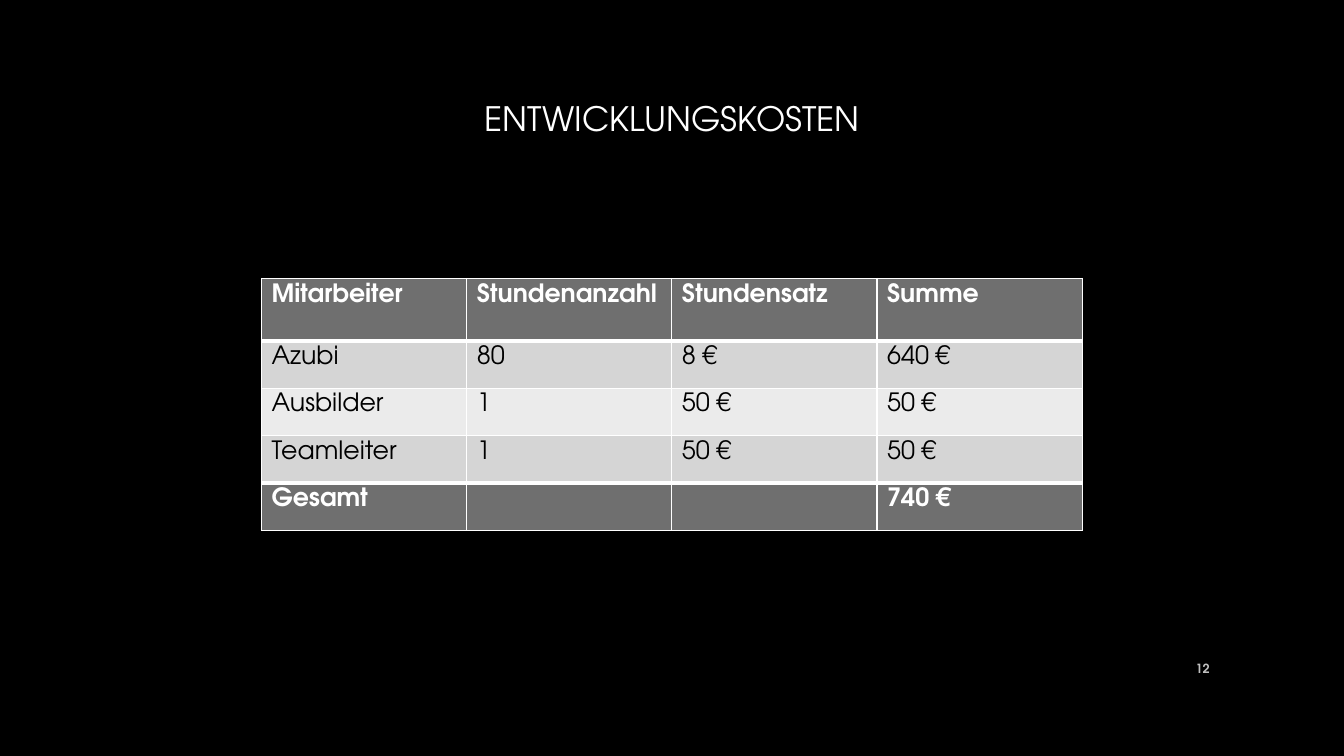
"""Build the development cost slide with its table of hours and rates."""
from lxml import etree
from pptx import Presentation
from pptx.dml.color import RGBColor
from pptx.enum.text import MSO_ANCHOR, PP_ALIGN
from pptx.oxml.ns import qn
from pptx.util import Pt

MIDDLE = MSO_ANCHOR.MIDDLE
CENTER, RIGHT = PP_ALIGN.CENTER, PP_ALIGN.RIGHT
FONT = "TeX Gyre Adventor"
COLORS = {
    "background": "000000",
    "light": "FFFFFF",
    "dark": "000000",
    "number": "BFBFBF",
    "accent": "6F6F6F",
    "band_odd": "D5D5D5",
    "band_even": "EBEBEB",
}
TEXTS = [
    ("ENTWICKLUNGSKOSTEN", (90, 48.24, 779.76, 72.72), 24, "light", False, CENTER),
    ("12", (828, 462.96, 43.2, 28.8), 9, "number", True, RIGHT),
]
ROWS = [
    ("Mitarbeiter", "Stundenanzahl", "Stundensatz", "Summe"),
    ("Azubi", "80", "8 €", "640 €"),
    ("Ausbilder", "1", "50 €", "50 €"),
    ("Teamleiter", "1", "50 €", "50 €"),
    ("Gesamt", "", "", "740 €"),
]
TABLE_LEFT, TABLE_TOP = 186.9, 198.9
COL_WIDTH, HEADER_HEIGHT, ROW_HEIGHT = 146.55, 44.64, 33.84
THIN, THICK = 1, 3


def rgb(name):
    return RGBColor.from_string(COLORS[name])


def format_runs(p, size, color, bold):
    for r in p.runs:
        r.font.name = FONT
        r.font.size = Pt(size)
        r.font.bold = bold
        r.font.color.rgb = rgb(color)


def add_text(slide, text, box, size, color, bold, align):
    tf = slide.shapes.add_textbox(*map(Pt, box)).text_frame
    tf.word_wrap = True
    tf.vertical_anchor = MIDDLE
    p = tf.paragraphs[0]
    p.text = text
    p.alignment = align
    format_runs(p, size, color, bold)


def add_borders(cell, top, bottom):
    tc_pr = cell._tc.get_or_add_tcPr()
    widths = {"lnL": THIN, "lnR": THIN, "lnT": top, "lnB": bottom}
    for tag, width in widths.items():
        ln = etree.SubElement(tc_pr, qn(f"a:{tag}"), w=str(Pt(width)))
        fill = etree.SubElement(ln, qn("a:solidFill"))
        etree.SubElement(fill, qn("a:srgbClr"), val=COLORS["light"])


def add_cost_table(slide):
    last = len(ROWS) - 1
    cols = len(ROWS[0])
    height = HEADER_HEIGHT + last * ROW_HEIGHT
    table = slide.shapes.add_table(
        len(ROWS), cols, Pt(TABLE_LEFT), Pt(TABLE_TOP),
        Pt(cols * COL_WIDTH), Pt(height)).table
    for col in table.columns:
        col.width = Pt(COL_WIDTH)
    for i, values in enumerate(ROWS):
        table.rows[i].height = Pt(ROW_HEIGHT if i else HEADER_HEIGHT)
        strong = i in (0, last)
        band = "accent" if strong else "band_odd" if i % 2 else "band_even"
        top = THICK if i in (1, last) else THIN
        bottom = THICK if i in (0, last - 1) else THIN
        for j, value in enumerate(values):
            cell = table.cell(i, j)
            add_borders(cell, top, bottom)
            cell.fill.solid()
            cell.fill.fore_color.rgb = rgb(band)
            if value:
                p = cell.text_frame.paragraphs[0]
                p.text = value
                format_runs(p, 18, "light" if strong else "dark", strong)


def main():
    prs = Presentation()
    prs.slide_width, prs.slide_height = Pt(960), Pt(540)
    s = prs.slides.add_slide(prs.slide_layouts[6])
    s.background.fill.solid()
    s.background.fill.fore_color.rgb = rgb("background")
    for item in TEXTS:
        add_text(s, *item)
    add_cost_table(s)
    prs.save("out.pptx")


if __name__ == "__main__":
    main()
